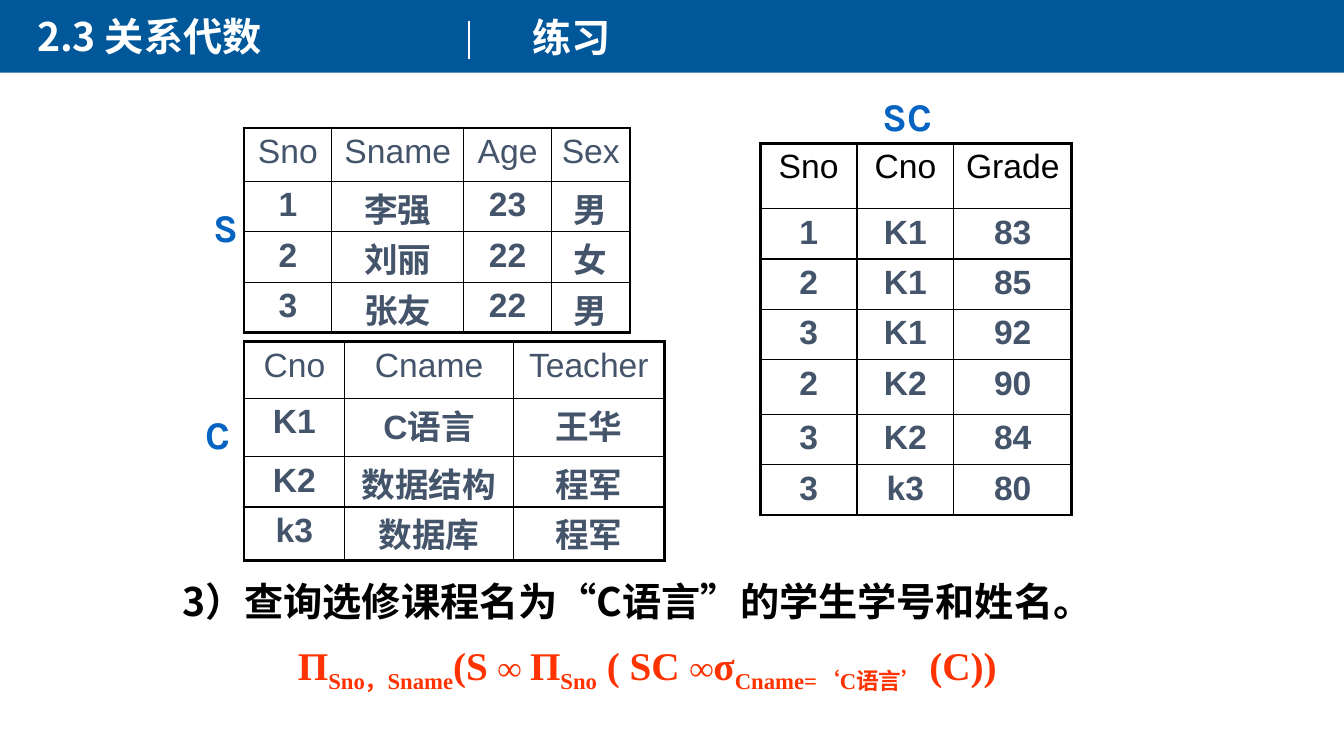
import dataclasses

import lxml.etree
import pptx
import pptx.dml.color
import pptx.enum.shapes
import pptx.enum.text
import pptx.oxml.ns
import pptx.util

Inches = pptx.util.Inches
Pt = pptx.util.Pt
Align = pptx.enum.text.PP_ALIGN
qn = pptx.oxml.ns.qn


@dataclasses.dataclass(frozen=True)
class Theme:
    """Colours, typefaces and sizes of the slide."""
    banner: str = "00589A"
    white: str = "FFFFFF"
    black: str = "000000"
    slate: str = "44546A"
    label: str = "0563C1"
    answer: str = "FF3300"
    cjk: str = "Noto Sans CJK SC"
    latin: str = "Arial"
    serif: str = "Times New Roman"
    label_face: str = "Karla"
    large: int = 28
    body: int = 24
    outer_border: float = 2.25
    inner_border: float = 1


THEME = Theme()


def rgb(code):
    """Turn a hex code into a colour."""
    return pptx.dml.color.RGBColor.from_string(code)


def style(paragraph, face, size, color, bold=True):
    """Set the font of a whole paragraph, with the CJK face beside it."""
    font = paragraph.font
    font.size, font.bold = Pt(size), bold
    font.color.rgb = rgb(color)
    font.name = face
    east_asian = lxml.etree.SubElement(font._element, qn("a:ea"))
    east_asian.set("typeface", THEME.cjk)


def add_text(slide, box, runs, face, color, align=Align.LEFT, wrap=True):
    """Add a one-paragraph text box and return its paragraph."""
    frame = slide.shapes.add_textbox(*map(Inches, box)).text_frame
    frame.word_wrap = wrap
    paragraph = frame.paragraphs[0]
    paragraph.alignment = align
    style(paragraph, face, THEME.large, color)
    for text in runs:
        paragraph.add_run().text = text
    return paragraph


def add_banner(slide):
    """Add the title band with its chapter, divider and topic."""
    band = slide.shapes.add_shape(
        pptx.enum.shapes.MSO_SHAPE.RECTANGLE,
        Inches(0), Inches(-0.02), Inches(13.33), Inches(0.74))
    band.shadow.inherit = False
    band.fill.solid()
    band.fill.fore_color.rgb = rgb(THEME.banner)
    band.line.fill.background()
    add_text(slide, (0.27, 0.07, 5.53, 0.57), ["2.3 关系代数"], THEME.cjk, THEME.white)
    add_text(slide, (5.18, 0.08, 8.65, 0.57), ["练习"], THEME.cjk, THEME.white)
    divider = slide.shapes.add_connector(
        pptx.enum.shapes.MSO_CONNECTOR.STRAIGHT,
        Inches(4.65), Inches(0.21), Inches(4.65), Inches(0.59))
    divider.line.color.rgb = rgb(THEME.white)
    divider.line.width = Pt(1.5)
    lxml.etree.SubElement(divider._element.spPr, qn("a:effectLst"))


def set_borders(cell, outer_sides):
    """Draw thick borders on the outer sides and thin ones elsewhere."""
    properties = cell._tc.get_or_add_tcPr()
    for index, side in enumerate("LRTB"):
        width = THEME.outer_border if side in outer_sides else THEME.inner_border
        line = lxml.etree.Element(qn(f"a:ln{side}"), w=str(Pt(width)))
        fill = lxml.etree.SubElement(line, qn("a:solidFill"))
        lxml.etree.SubElement(fill, qn("a:srgbClr"), val=THEME.black)
        properties.insert(index, line)


def fill_cell(cell, text, color, bold, outer_sides):
    """Write one centred table cell and frame it."""
    cell.fill.background()
    cell.margin_left = cell.margin_right = Inches(0.05)
    cell.margin_top = Inches(0.05 if text.isascii() else 0.02)
    cell.margin_bottom = Inches(0)
    paragraph = cell.text_frame.paragraphs[0]
    paragraph.alignment = Align.CENTER
    style(paragraph, THEME.latin, THEME.body, color, bold)
    paragraph.add_run().text = text
    set_borders(cell, outer_sides)


def add_relation(slide, left, top, widths, heights, rows, header_color):
    """Add a relation as a table with a heavy outer frame."""
    table = slide.shapes.add_table(
        len(rows), len(widths), Inches(left), Inches(top),
        Inches(sum(widths)), Inches(sum(heights))).table
    table.first_row = table.horz_banding = False
    for column, width in zip(table.columns, widths):
        column.width = Inches(width)
    for row, height in zip(table.rows, heights):
        row.height = Inches(height)
    for r, values in enumerate(rows):
        for c, value in enumerate(values):
            edges = {"L": c == 0, "R": c == len(widths) - 1,
                     "T": r == 0, "B": r == len(rows) - 1}
            outer_sides = [side for side, is_outer in edges.items() if is_outer]
            color = THEME.slate if r else header_color
            fill_cell(table.cell(r, c), value, color, r > 0, outer_sides)


def add_question(slide):
    """Add the exercise question with a hanging indent."""
    question = add_text(
        slide, (1.71, 5.68, 9.17, 0.58),
        ["3）查询选修课程名为", "“", "C语言", "”", "的学生学号和姓名。"],
        THEME.cjk, THEME.black)
    properties = question._p.get_or_add_pPr()
    properties.set("marL", str(Inches(0.38)))
    properties.set("indent", str(Inches(-0.38)))
    for run in question.runs:
        if run.text in "“”":
            run.font.name = THEME.serif


def add_formula(slide):
    """Add the relational algebra answer with its subscripts."""
    subscripts = ("Sno，Sname", "Sno", "Cname=‘C语言’ ")
    formula = add_text(
        slide, (2.26, 6.31, 8.32, 0.57),
        ["П", subscripts[0], "(S ", "∞ ", "П", subscripts[1], " ( SC ",
         "∞", "σ", subscripts[2], "(C))"],
        THEME.serif, THEME.answer, Align.CENTER, wrap=False)
    for run in formula.runs:
        if run.text in subscripts:
            run.font._element.set("baseline", "-25000")
        elif "∞" in run.text:
            run.font.size = Pt(THEME.body)


def main():
    """Build the slide and save it."""
    deck = pptx.Presentation()
    deck.slide_width, deck.slide_height = Inches(13.33), Inches(7.5)
    slide = deck.slides.add_slide(deck.slide_layouts[6])
    add_banner(slide)
    add_question(slide)
    add_formula(slide)
    students = [("Sno", "Sname", "Age", "Sex"), ("1", "李强", "23", "男"),
                ("2", "刘丽", "22", "女"), ("3", "张友", "22", "男")]
    courses = [("Cno", "Cname", "Teacher"), ("K1", "C语言", "王华"),
               ("K2", "数据结构", "程军"), ("k3", "数据库", "程军")]
    grades = [("Sno", "Cno", "Grade"), ("1", "K1", "83"), ("2", "K1", "85"),
              ("3", "K1", "92"), ("2", "K2", "90"), ("3", "K2", "84"),
              ("3", "k3", "80")]
    add_relation(slide, 2.42, 1.27, (0.87, 1.31, 0.87, 0.78),
                 (0.53, 0.5, 0.5, 0.5), students, THEME.slate)
    add_relation(slide, 2.42, 3.39, (1, 1.67, 1.5),
                 (0.56, 0.58, 0.5, 0.53), courses, THEME.slate)
    add_relation(slide, 7.54, 1.42, (0.96, 0.96, 1.17),
                 (0.65, 0.5, 0.5, 0.5, 0.54, 0.5, 0.5), grades, THEME.black)
    for name, left, top, width in (("S", 2.02, 1.97, 0.45), ("SC", 8.64, 0.87, 0.71),
                                   ("C", 1.94, 4.02, 0.37)):
        add_text(slide, (left, top, width, 0.57), [name], THEME.label_face,
                 THEME.label, Align.CENTER, wrap=False)
    deck.save("out.pptx")


if __name__ == "__main__":
    main()
